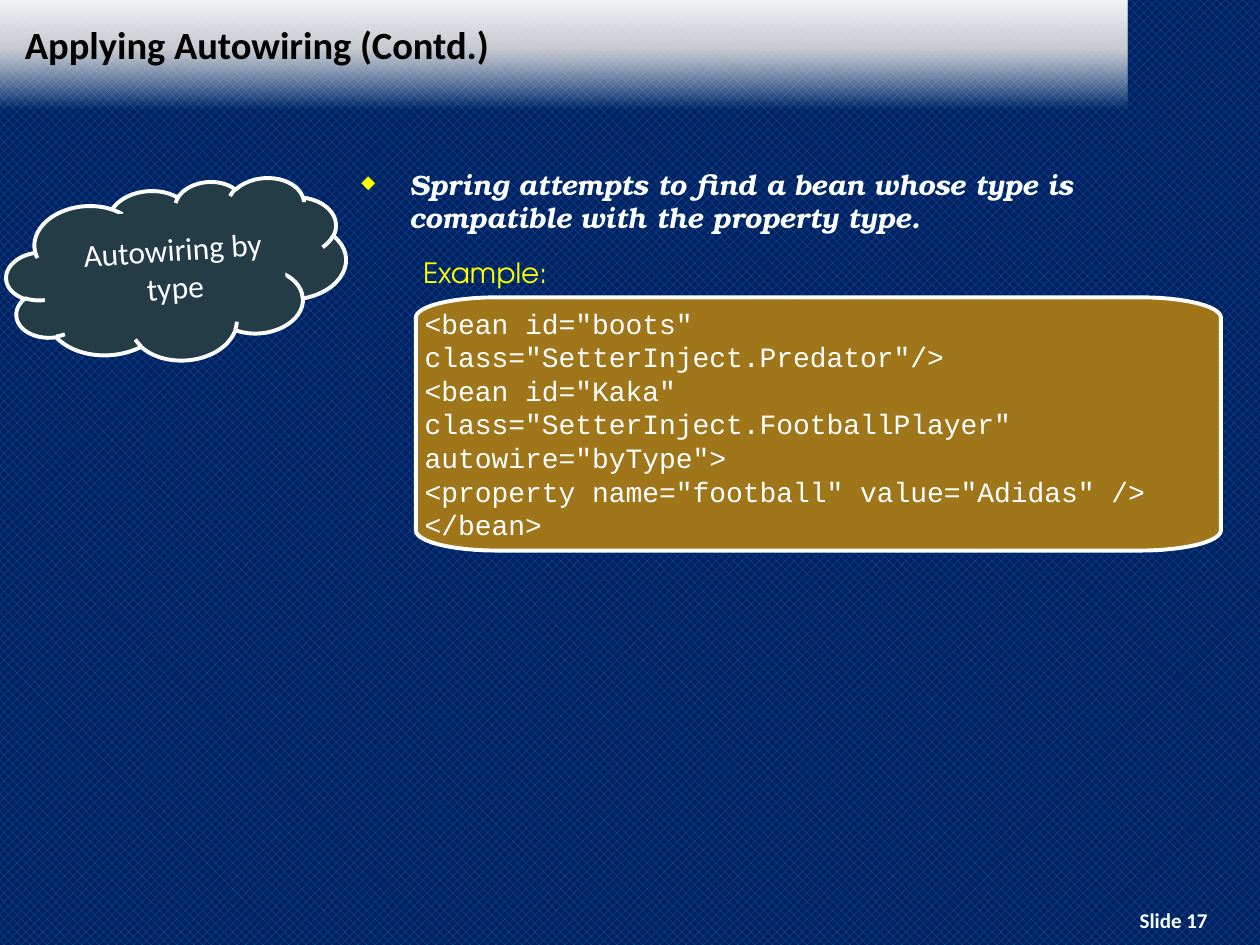
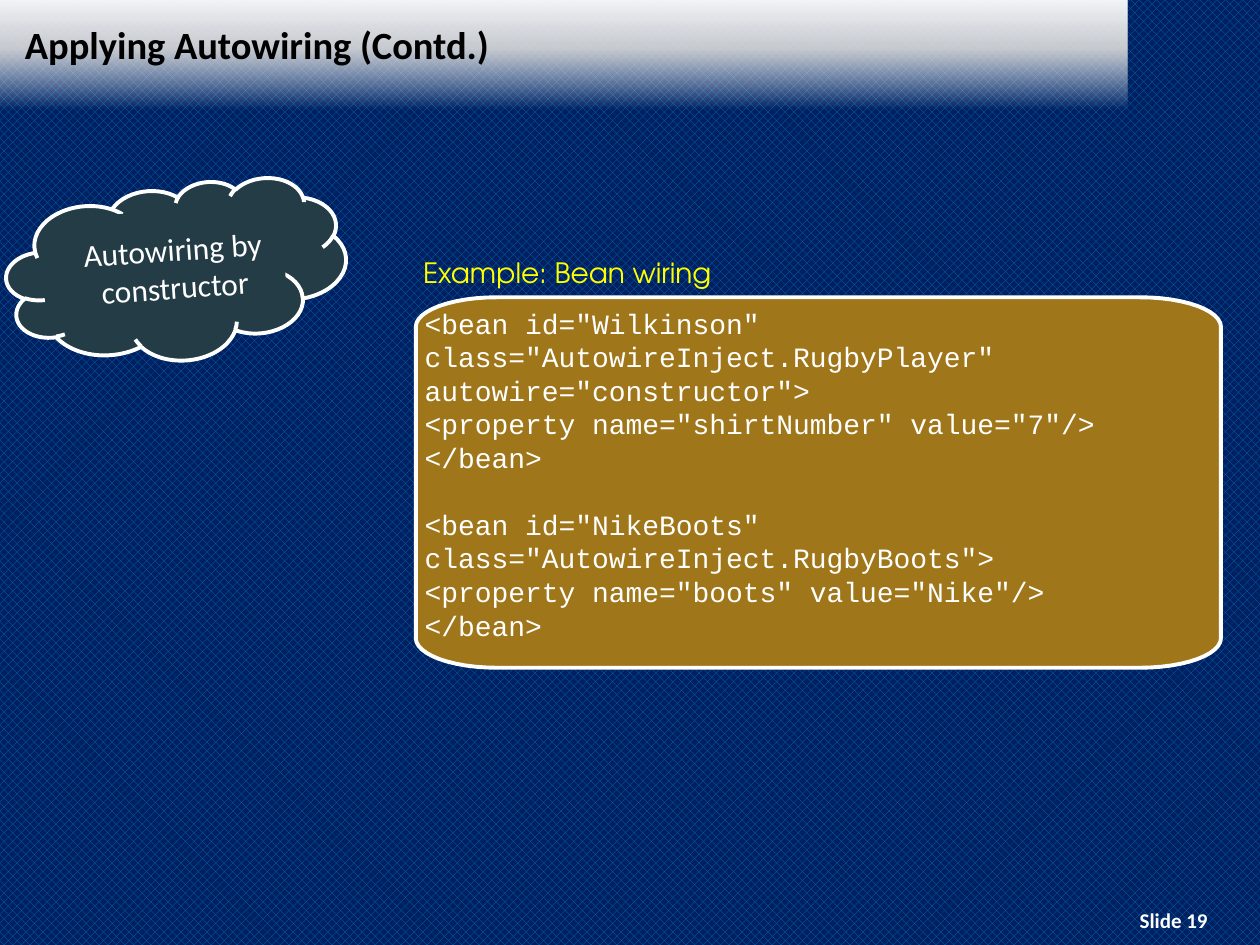
import math

from lxml import etree
from pptx import Presentation
from pptx import util as u
from pptx.dml.color import RGBColor
from pptx.enum import dml, shapes, text
from pptx.oxml.ns import qn

INK = {
    "navy": "002060", "weave": "0070C0", "white": "FFFFFF", "silver": "D9D9D9",
    "black": "000000", "yellow": "FFFF00", "slate": "233C46", "gold": "9F761A",
}
BODY, CODE = "Calibri", "Courier New"
LABEL, SERIF = "TeX Gyre Adventor", "TeX Gyre Bonum"
TITLE = "Applying Autowiring (Contd.)"


def hue(name):
    return RGBColor.from_string(INK[name])


def node(parent, tag, **attrs):
    return etree.SubElement(parent, qn("a:" + tag), attrs)


def paint(shape, fill, line=None):
    shape.shadow.inherit = False
    shape.fill.solid()
    shape.fill.fore_color.rgb = hue(fill)
    if line:
        shape.line.color.rgb = hue(line)
        shape.line.width = u.Pt(2.25)
    else:
        shape.line.fill.background()


def write(para, words, size, font, ink, bold=False, slant=False):
    run = para.add_run()
    run.text = words
    run.font.size, run.font.name = u.Pt(size), font
    run.font.bold, run.font.italic = bold, slant
    run.font.color.rgb = hue(ink)
    return run


def text_box(slide, box):
    frame = slide.shapes.add_textbox(*map(u.Inches, box)).text_frame
    frame.word_wrap = True
    return frame


# Shared look: woven background, fading band, title, slide number
def band(slide, box):
    bar = slide.shapes.add_shape(shapes.MSO_SHAPE.RECTANGLE, *map(u.Inches, box))
    paint(bar, "white")
    props = bar.fill._xPr
    old = props.find(qn("a:solidFill"))
    grad = etree.Element(qn("a:gradFill"), rotWithShape="1")
    stops = node(grad, "gsLst")
    for pos, ink, alpha in ((0, "white", 0), (54, "silver", 90), (100, "white", 95)):
        stop = node(stops, "gs", pos=str(pos * 1000))
        node(node(stop, "srgbClr", val=INK[ink]), "alpha", val=str(alpha * 1000))
    node(grad, "lin", ang=str(270 * 60000), scaled="0")
    props.replace(old, grad)


def base(deck, number):
    slide = deck.slides.add_slide(deck.slide_layouts[6])
    fill = slide.background.fill
    fill.patterned()
    fill.pattern = dml.MSO_PATTERN.PERCENT_50
    fill.fore_color.rgb, fill.back_color.rgb = hue("weave"), hue("navy")

    band(slide, (0, -0.01, 8.95, 0.88))
    foot = text_box(slide, (8.73, 7.15, 1.17, 0.3)).paragraphs[0]
    foot.alignment = text.PP_ALIGN.CENTER
    write(foot, f"Slide {number}", 12, BODY, "white", bold=True)

    head = text_box(slide, (0.1, 0.09, 8.77, 0.52))
    head.vertical_anchor = text.MSO_ANCHOR.MIDDLE
    write(head.paragraphs[0], TITLE, 22, BODY, "black", bold=True)
    return slide


# Tilted cloud with its caption
def cloud(slide, box, words):
    left, top, wide, high = box
    group = slide.shapes.add_group_shape()
    puff = group.shapes.add_shape(shapes.MSO_SHAPE.CLOUD, *map(u.Inches, box))
    paint(puff, "slate", "white")
    inner = (left + 0.45, top + 0.21, wide - 0.94, high - 0.49)
    tag = group.shapes.add_shape(shapes.MSO_SHAPE.RECTANGLE, *map(u.Inches, inner))
    paint(tag, "slate")
    puff.rotation = tag.rotation = 356

    frame = tag.text_frame
    frame.word_wrap = True
    frame.vertical_anchor = text.MSO_ANCHOR.MIDDLE
    frame.margin_left = frame.margin_right = u.Inches(0.08)
    frame.margin_top = frame.margin_bottom = u.Inches(0.08)
    para = frame.paragraphs[0]
    para.alignment = text.PP_ALIGN.CENTER
    write(para, words, 18, BODY, "white")


# Bulleted statement
def bullet(slide, box, words):
    para = text_box(slide, box).paragraphs[0]
    props = para._p.get_or_add_pPr()
    indent = u.Inches(0.38)
    props.set("marL", str(indent))
    props.set("indent", str(-indent))
    node(node(props, "buClr"), "srgbClr", val=INK["yellow"])
    node(props, "buSzPct", val="65000")
    node(props, "buChar", char="◆")
    write(para, words, 16, SERIF, "white", bold=True, slant=True)


# Outlined label above the code
def label(slide, box, words):
    run = write(text_box(slide, box).paragraphs[0], words, 16, LABEL, "yellow")
    edge = etree.Element(qn("a:ln"), w=str(u.Pt(1)))
    node(node(edge, "solidFill"), "srgbClr", val=INK["yellow"])
    run.font._element.insert(0, edge)


# Code panel: flat elliptical corners, a tenth of the width and 8% of the height
def panel(slide, box, blocks):
    left, top, wide, high = box
    rx, ry = wide * 0.1, high * 0.08
    right, low = left + wide - rx, top + high - ry
    hubs = ((right, low), (left + rx, low), (left + rx, top + ry), (right, top + ry))
    points = []
    for turn, (x, y) in enumerate(hubs):
        for step in range(13):
            angle = math.radians(90 * turn + 7.5 * step)
            points.append((u.Inches(x + rx * math.cos(angle)),
                           u.Inches(y + ry * math.sin(angle))))
    pen = slide.shapes.build_freeform(*points[0])
    pen.add_line_segments(points[1:], close=True)
    shape = pen.convert_to_shape()
    paint(shape, "gold", "white")

    frame = shape.text_frame
    frame.word_wrap = True
    frame.vertical_anchor = text.MSO_ANCHOR.TOP
    frame.margin_left = frame.margin_right = u.Inches(0.07)
    frame.margin_top = frame.margin_bottom = u.Inches(0.07)
    para = None
    for block in blocks:
        for row, line in enumerate(block):
            first = para is None
            para = frame.paragraphs[0] if first else frame.add_paragraph()
            para.alignment = text.PP_ALIGN.LEFT
            if row == 0 and not first:
                para.space_before = u.Pt(19)
            write(para, line, 16, CODE, "white")


def wiring(deck, number, kind, sample, width, high, blocks):
    slide = base(deck, number)
    cloud(slide, (0.05, 1.46, 2.7, 1.4), f"Autowiring by {kind}")
    panel(slide, (3.3, 2.36, 6.39, high), blocks)
    label(slide, (3.26, 1.98, width, 0.37), sample)
    return slide


def main():
    deck = Presentation()
    deck.slide_width, deck.slide_height = u.Inches(10), u.Inches(7.5)

    slide = wiring(deck, 17, "type", "Example:", 1.39, 2.01, [[
        '<bean id="boots"',
        'class="SetterInject.Predator"/>',
        '<bean id="Kaka"',
        'class="SetterInject.FootballPlayer"',
        'autowire="byType">',
        '<property name="football" value="Adidas" />',
        '</bean>',
    ]])
    bullet(slide, (2.77, 1.28, 6.96, 0.64),
           "Spring attempts to find a bean whose type is "
           "compatible with the property type.")

    wiring(deck, 19, "constructor", "Example: Bean wiring", 3.66, 2.94, [[
        '<bean id="Wilkinson"',
        'class="AutowireInject.RugbyPlayer" autowire="constructor">',
        '<property name="shirtNumber" value="7"/>',
        '</bean>',
    ], [
        '<bean id="NikeBoots"',
        'class="AutowireInject.RugbyBoots">',
        '<property name="boots" value="Nike"/>',
        '</bean>',
    ]])
    deck.save("out.pptx")


if __name__ == "__main__":
    main()
